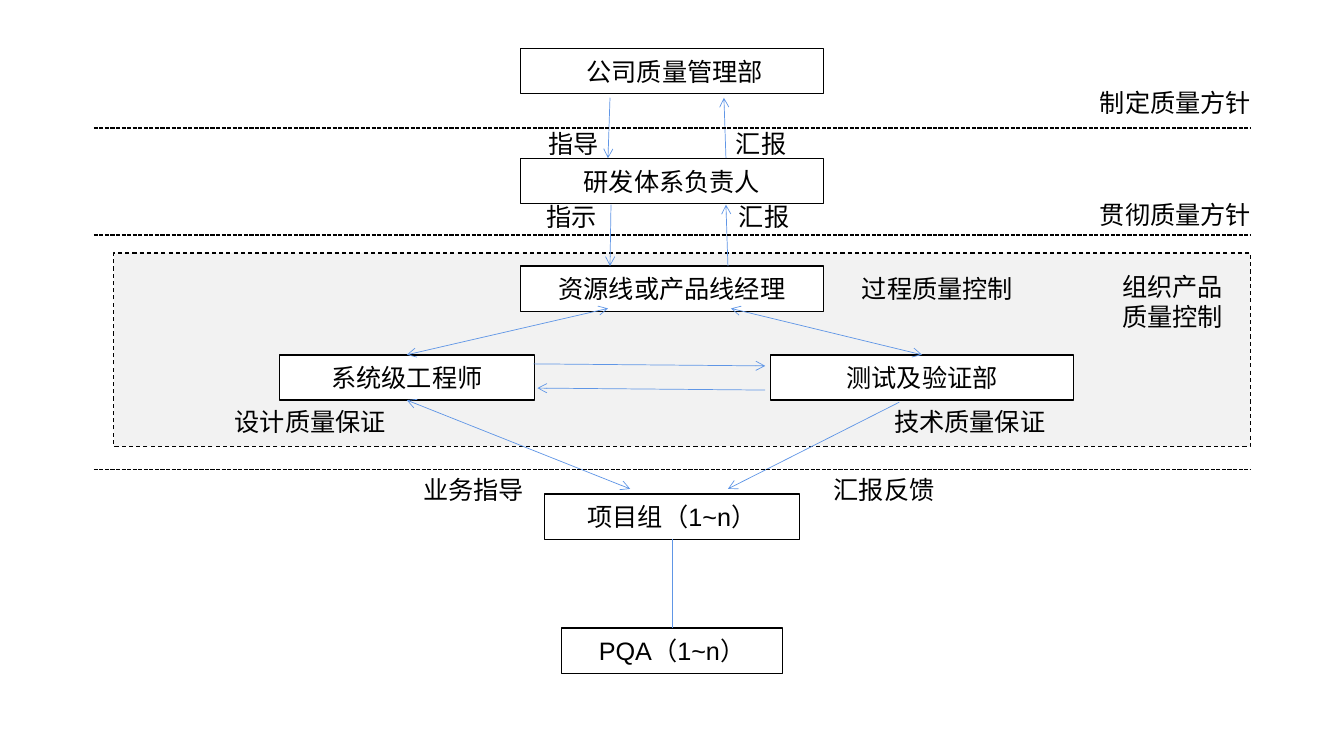
from lxml import etree
from pptx import Presentation
from pptx.dml.color import RGBColor
from pptx.enum.dml import MSO_LINE
from pptx.enum.shapes import MSO_CONNECTOR, MSO_SHAPE
from pptx.enum.text import MSO_ANCHOR, MSO_AUTO_SIZE, PP_ALIGN
from pptx.oxml.ns import qn
from pptx.util import Inches, Pt

RECTANGLE = MSO_SHAPE.RECTANGLE
STRAIGHT = MSO_CONNECTOR.STRAIGHT
DASH, SHORT_DASH = MSO_LINE.DASH, MSO_LINE.SQUARE_DOT
CENTER, LEFT = PP_ALIGN.CENTER, PP_ALIGN.LEFT
MIDDLE = MSO_ANCHOR.MIDDLE
FIT_SHAPE = MSO_AUTO_SIZE.SHAPE_TO_FIT_TEXT

BLACK = RGBColor(0x00, 0x00, 0x00)
WHITE = RGBColor(0xFF, 0xFF, 0xFF)
GRAY = RGBColor(0xF2, 0xF2, 0xF2)
BLUE = RGBColor(0x60, 0x96, 0xE6)
FONT, FONT_SIZE = "Arial", 18
TOP, BOTTOM = 0, 2

# Content: control area (left, top, width, height)
CONTROL_AREA = (1.13, 2.51, 11.27, 1.92)

# Roles: key -> (text, center x, top, width)
BOX_HEIGHT = 0.45
AXIS = 6.665
ROLES = {
    "quality": (" 公司质量管理部", AXIS, 0.48, 3.01),
    "head": ("研发体系负责人", AXIS, 1.57, 3.01),
    "manager": ("资源线或产品线经理", AXIS, 2.64, 3.01),
    "test": ("测试及验证部", 9.145, 3.52, 3.01),
    "engineer": ("系统级工程师", 4.035, 3.52, 2.53),
    "project": ("项目组（1~n）", AXIS, 4.9, 2.53),
    "pqa": ("PQA（1~n）", AXIS, 6.23, 2.19),
}

# Links: (start, end, arrowheads); an end is a point or a (role, side) joint
FORWARD, BOTH, PLAIN = ("tailEnd",), ("headEnd", "tailEnd"), ()
LINKS = [
    ((6.05, 0.97), (6.03, 1.57), FORWARD),
    ((7.2, 1.57), (7.18, 0.97), FORWARD),
    ((6.06, 2.03), (6.05, 2.64), FORWARD),
    ((7.22, 2.64), (7.2, 2.03), FORWARD),
    ((6.03, 3.06), ("engineer", TOP), BOTH),
    ((7.25, 3.06), ("test", TOP), BOTH),
    ((5.29, 3.61), (7.59, 3.63), FORWARD),
    ((7.59, 3.87), (5.33, 3.85), FORWARD),
    (("engineer", BOTTOM), (6.25, 4.85), BOTH),
    ((8.92, 3.99), (7.22, 4.85), FORWARD),
    (("project", BOTTOM), ("pqa", TOP), PLAIN),
]

# Level dividers
DIVIDER_LEFT, DIVIDER_RIGHT = 0.93, 12.41
DIVIDER_TOPS = [1.27, 2.33, 4.66]

# Labels: (text, left, top, width, wrap)
LABELS = [
    ("指导", 5.34, 1.22, 0.7, False),
    ("指示", 5.32, 1.95, 0.7, False),
    ("汇报", 7.2, 1.22, 0.7, False),
    ("汇报", 7.23, 1.95, 0.7, False),
    ("制定质量方针", 10.81, 0.82, 1.96, True),
    ("贯彻质量方针", 10.81, 1.93, 1.96, True),
    ("组织产品\n质量控制", 11.03, 2.64, 1.38, True),
    ("过程质量控制", 8.45, 2.66, 1.96, True),
    ("技术质量保证", 8.77, 3.98, 1.96, True),
    ("设计质量保证", 2.23, 3.98, 1.96, True),
    ("业务指导", 4.1, 4.66, 1.22, True),
    ("汇报反馈", 8.17, 4.66, 1.22, True),
]


def write_text(shape, text, alignment):
    shape.text_frame.text = text
    for paragraph in shape.text_frame.paragraphs:
        paragraph.alignment = alignment
        for run in paragraph.runs:
            run.font.name = FONT
            run.font.size = Pt(FONT_SIZE)
            run.font.color.rgb = BLACK


def add_box(slide, left, top, width, height, fill, line_width):
    shape = slide.shapes.add_shape(
        RECTANGLE, Inches(left), Inches(top), Inches(width), Inches(height))
    shape.shadow.inherit = False
    shape.fill.solid()
    shape.fill.fore_color.rgb = fill
    shape.line.color.rgb = BLACK
    shape.line.width = Pt(line_width)
    return shape


def add_line(slide, start, end, color, width):
    connector = slide.shapes.add_connector(
        STRAIGHT, *(Inches(value) for value in (*start, *end)))
    connector.line.color.rgb = color
    connector.line.width = Pt(width)
    etree.SubElement(connector._element.spPr, qn("a:effectLst"))
    return connector


def locate(end):
    """Return the point of a link end, given as a point or a joint."""
    if end[0] not in ROLES:
        return end
    role, side = end
    center, top = ROLES[role][1:3]
    return center, top + (BOX_HEIGHT if side == BOTTOM else 0)


def main():
    presentation = Presentation()
    presentation.slide_width = Inches(13.33)
    presentation.slide_height = Inches(7.5)
    slide = presentation.slides.add_slide(presentation.slide_layouts[6])

    # Control area and role boxes
    area = add_box(slide, *CONTROL_AREA, GRAY, 0.75)
    area.line.dash_style = DASH
    boxes = {}
    for role, (text, center, top, width) in ROLES.items():
        box = add_box(slide, center - width / 2, top, width, BOX_HEIGHT, WHITE, 1)
        box.text_frame.vertical_anchor = MIDDLE
        write_text(box, text, CENTER)
        boxes[role] = box

    # Links between roles
    for start, end, arrowheads in LINKS:
        connector = add_line(slide, locate(start), locate(end), BLUE, 0.5)
        if start[0] in boxes:
            connector.begin_connect(boxes[start[0]], start[1])
        if end[0] in boxes:
            connector.end_connect(boxes[end[0]], end[1])
        line = connector.line._get_or_add_ln()
        for arrowhead in arrowheads:
            etree.SubElement(line, qn(f"a:{arrowhead}"), type="arrow")

    # Level dividers
    for top in DIVIDER_TOPS:
        divider = add_line(slide, (DIVIDER_LEFT, top), (DIVIDER_RIGHT, top), BLACK, 1)
        divider.line.dash_style = SHORT_DASH

    # Labels
    for text, left, top, width, wrap in LABELS:
        height = 0.4 + 0.31 * text.count("\n")
        label = slide.shapes.add_textbox(
            Inches(left), Inches(top), Inches(width), Inches(height))
        label.text_frame.word_wrap = wrap
        label.text_frame.auto_size = FIT_SHAPE
        write_text(label, text, LEFT)

    presentation.save("out.pptx")


if __name__ == "__main__":
    main()
